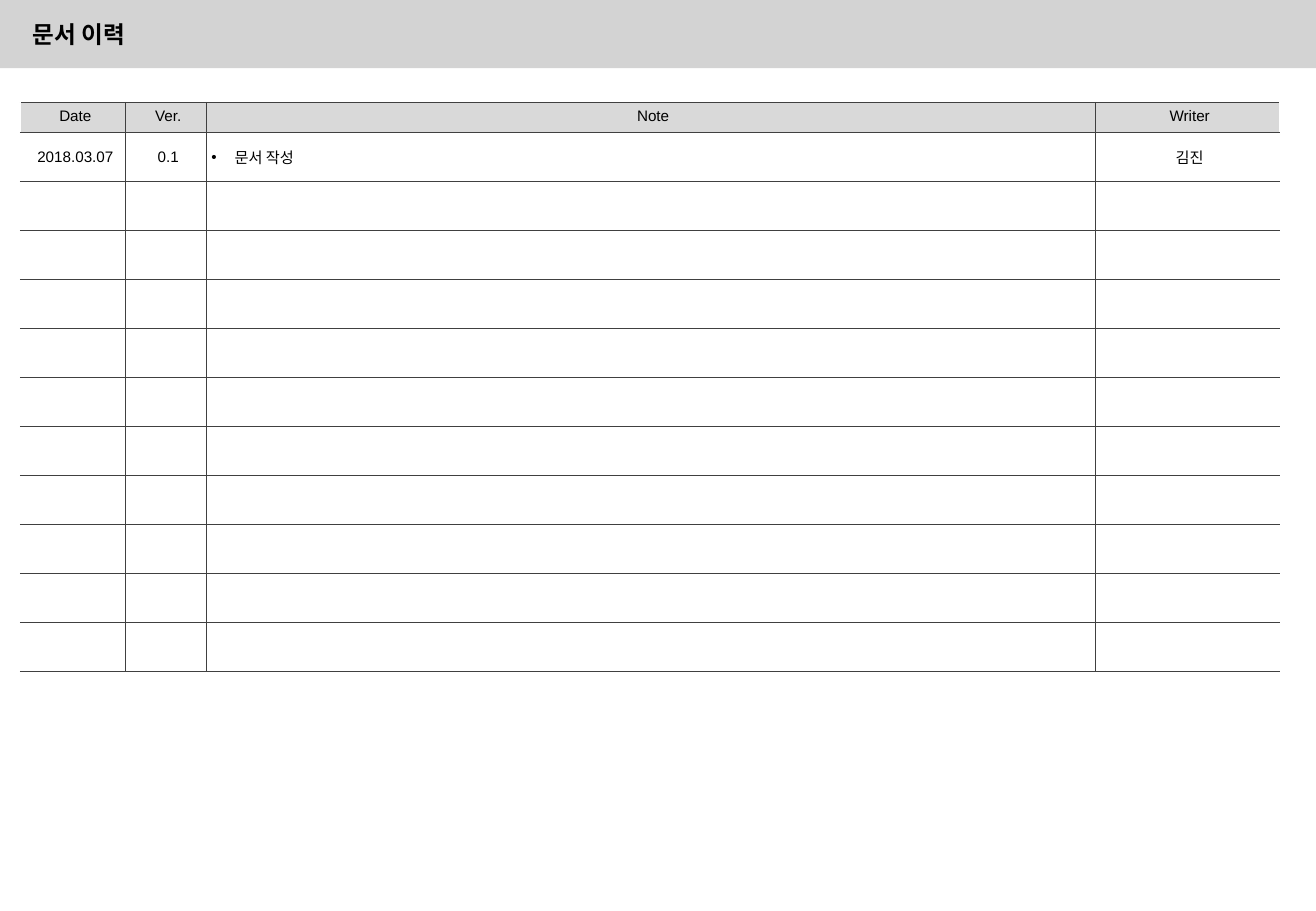
from dataclasses import dataclass
from typing import Any

from lxml import etree
from pptx import Presentation
from pptx.dml.color import RGBColor
from pptx.enum.shapes import MSO_SHAPE
from pptx.enum.text import MSO_ANCHOR, PP_ALIGN
from pptx.oxml.ns import qn
from pptx.util import Emu, Inches, Pt

RECTANGLE = MSO_SHAPE.RECTANGLE
TOP, MIDDLE = MSO_ANCHOR.TOP, MSO_ANCHOR.MIDDLE
LEFT, CENTER = PP_ALIGN.LEFT, PP_ALIGN.CENTER

INK, RULE, WHITE = "000000", "404040", "FFFFFF"
BAND_GRAY, HEADER_GRAY = "D3D3D3", "D9D9D9"
BODY_ROWS = 11
HEADER_HEIGHT, BODY_HEIGHT = 3.2, 5.38
CELL_INSETS = {
    "margin_left": Inches(0.04),
    "margin_top": Inches(0.05),
    "margin_right": Inches(0),
    "margin_bottom": Inches(0.05),
}


@dataclass(frozen=True)
class Area:
    left: float
    top: float
    width: float
    height: float


@dataclass(frozen=True)
class Column:
    heading: str
    entry: str
    width: float
    bulleted: bool = False


COLUMNS = [
    Column("Date", "2018.03.07", 7.94),
    Column("Ver.", "0.1", 6.19),
    Column("Note", "문서 작성", 67.5, bulleted=True),
    Column("Writer", "김진", 14.04),
]
BAND = Area(0, 0, 100, 7.47)
TITLE = Area(1.57, 1.87, 95.67, 6.4)
HISTORY = Area(
    1.57,
    11.2,
    sum(column.width for column in COLUMNS),
    HEADER_HEIGHT + BODY_ROWS * BODY_HEIGHT,
)

deck = Presentation()
deck.slide_width, deck.slide_height = Inches(10.83), Inches(7.5)
page = deck.slides.add_slide(deck.slide_layouts[6])


def across(percent: float) -> Emu:
    return Emu(round(deck.slide_width * percent / 100))


def down(percent: float) -> Emu:
    return Emu(round(deck.slide_height * percent / 100))


def place(area: Area) -> tuple[Emu, Emu, Emu, Emu]:
    return across(area.left), down(area.top), across(area.width), down(area.height)


def color(code: str) -> RGBColor:
    return RGBColor.from_string(code)


def apply(target: Any, values: dict[str, Any]) -> None:
    for name, value in values.items():
        setattr(target, name, value)


def write(para: Any, text: str, size: float, bold: bool = False) -> None:
    span = para.add_run()
    span.text = text
    apply(span.font, {"name": "Arial", "size": Pt(size), "bold": bold})
    span.font.color.rgb = color(INK)


def add_bullet(para: Any) -> None:
    properties = para._p.get_or_add_pPr()
    indent = Inches(0.19)
    properties.set("marL", str(indent))
    properties.set("indent", str(-indent))
    etree.SubElement(properties, qn("a:buFont"), typeface="Arial")
    etree.SubElement(properties, qn("a:buChar"), char="•")


def add_border(cell: Any, side: str, code: str, width: float) -> None:
    properties = cell._tc.get_or_add_tcPr()
    line = etree.SubElement(properties, qn(f"a:ln{side}"), w=str(Pt(width)))
    fill = etree.SubElement(line, qn("a:solidFill"))
    etree.SubElement(fill, qn("a:srgbClr"), val=code)


def fill_cell(cell: Any, row: int, index: int) -> None:
    column = COLUMNS[index]
    outer_sides = {"L": index == 0, "R": index == len(COLUMNS) - 1}
    for side in "LRTB":
        code, width = (WHITE, 1) if outer_sides.get(side) else (RULE, 0.25)
        add_border(cell, side, code, width)
    if row == 0:
        cell.fill.solid()
        cell.fill.fore_color.rgb = color(HEADER_GRAY)
    else:
        cell.fill.background()
    if row > 1:
        return
    apply(cell, CELL_INSETS | {"vertical_anchor": MIDDLE if row else TOP})
    para = cell.text_frame.paragraphs[0]
    bulleted = row == 1 and column.bulleted
    para.alignment = LEFT if bulleted else CENTER
    if bulleted:
        add_bullet(para)
    write(para, column.entry if row else column.heading, 9)


def draw_title() -> None:
    band = page.shapes.add_shape(RECTANGLE, *place(BAND))
    band.shadow.inherit = False
    band.fill.solid()
    band.fill.fore_color.rgb = color(BAND_GRAY)
    band.line.fill.background()
    box = page.shapes.add_textbox(*place(TITLE))
    apply(box.text_frame, {"word_wrap": True, "vertical_anchor": TOP})
    para = box.text_frame.paragraphs[0]
    para.line_spacing = 0.9
    write(para, "문서 이력", 14, bold=True)


def draw_history() -> None:
    frame = page.shapes.add_table(BODY_ROWS + 1, len(COLUMNS), *place(HISTORY))
    table = frame.table
    apply(table, {"first_row": False, "horz_banding": False})
    for index, column in enumerate(COLUMNS):
        table.columns[index].width = across(column.width)
    for row in range(BODY_ROWS + 1):
        table.rows[row].height = down(BODY_HEIGHT if row else HEADER_HEIGHT)
        for index in range(len(COLUMNS)):
            fill_cell(table.cell(row, index), row, index)


draw_title()
draw_history()
deck.save("out.pptx")
